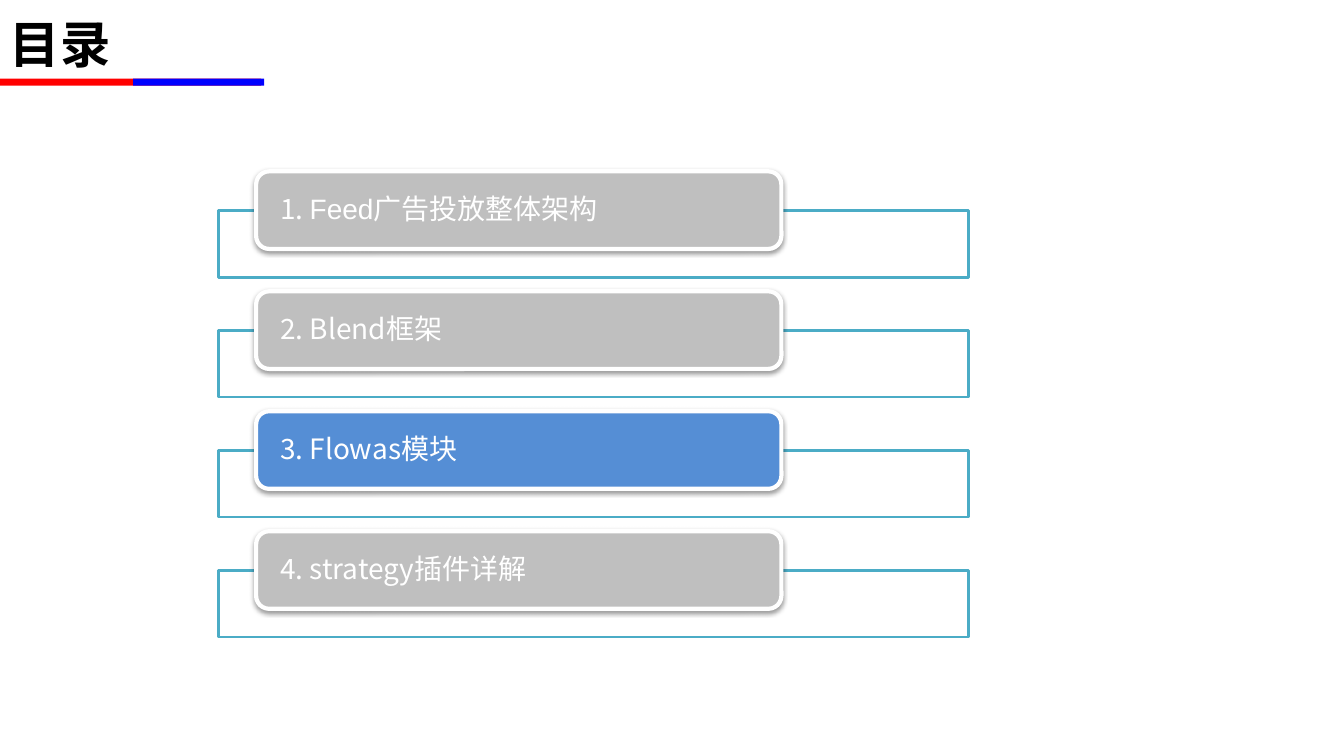
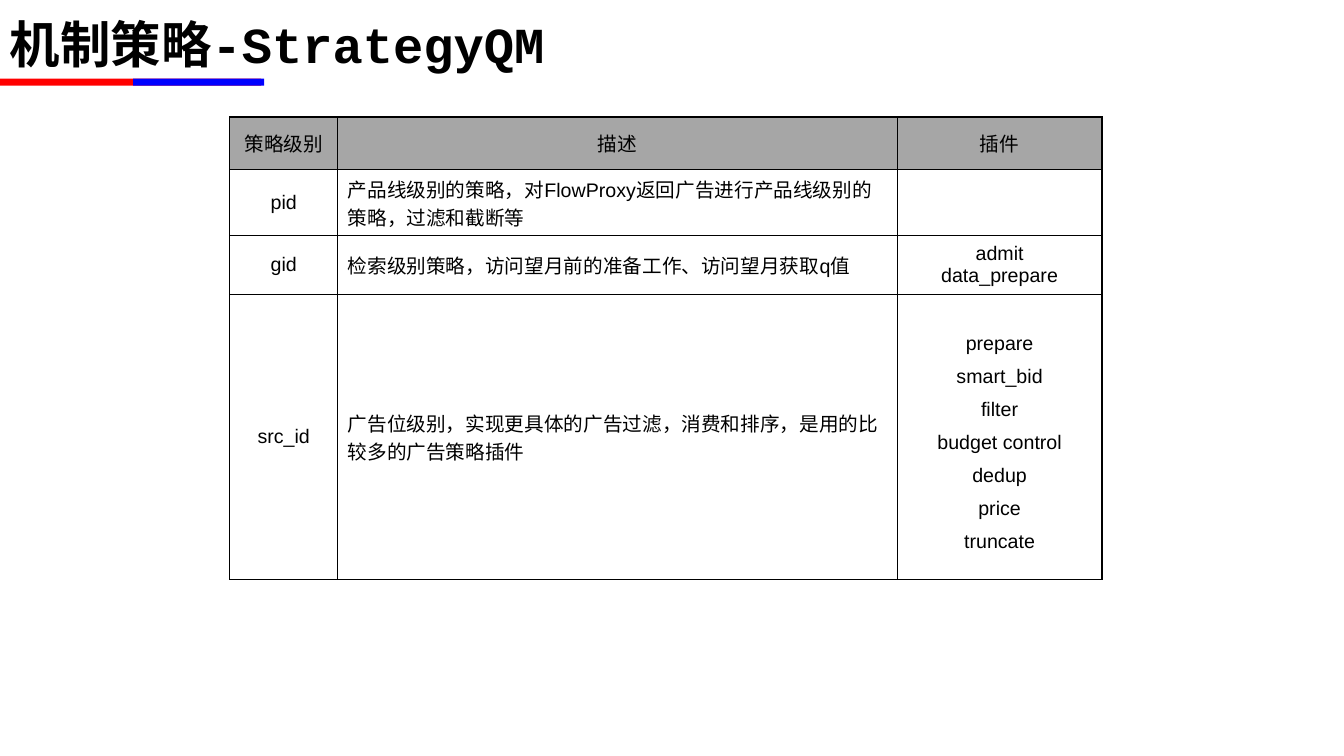
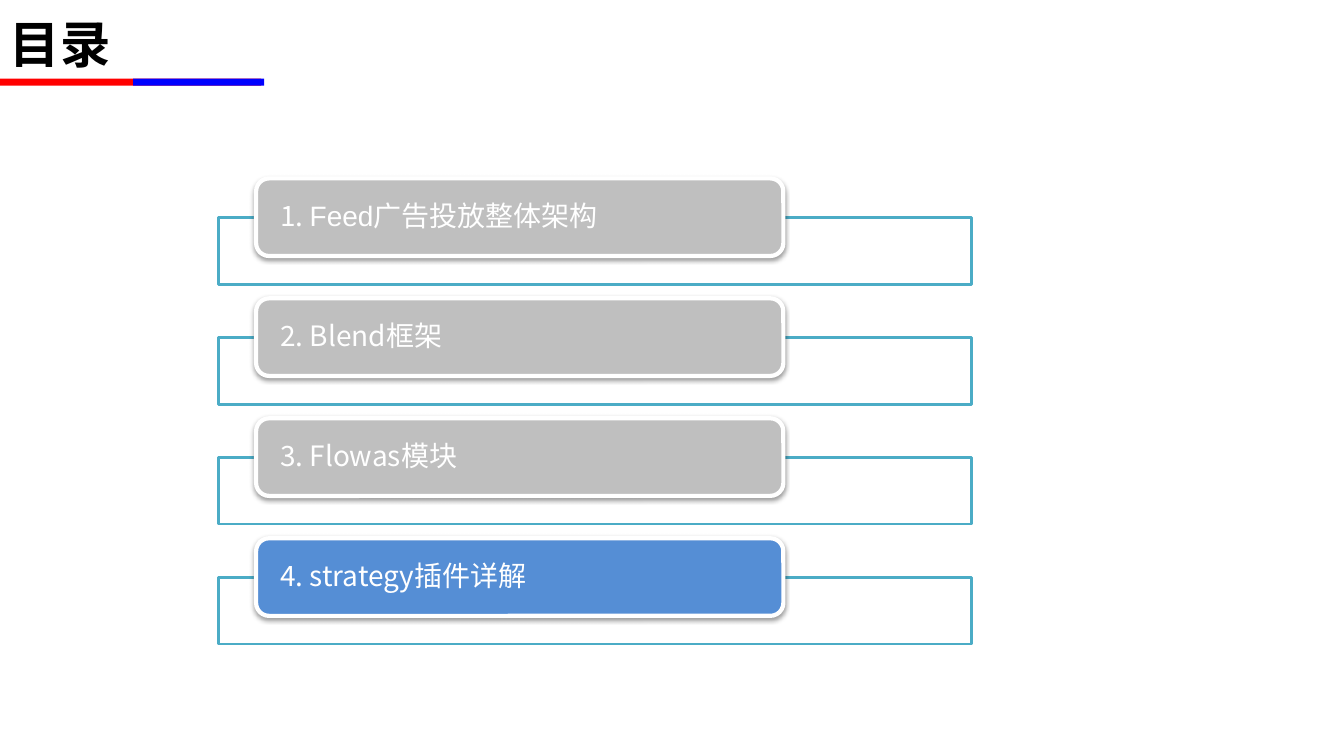
"""Build three slides: two agenda views and a table of strategy levels."""
from lxml import etree
from pptx import Presentation
from pptx.dml.color import RGBColor
from pptx.enum.shapes import MSO_SHAPE
from pptx.enum.text import MSO_ANCHOR, PP_ALIGN
from pptx.oxml import parse_xml
from pptx.oxml.ns import qn
from pptx.util import Pt

PX = 9144
RECT, ROUNDED = MSO_SHAPE.RECTANGLE, MSO_SHAPE.ROUNDED_RECTANGLE
MIDDLE, LEFT, CENTER = MSO_ANCHOR.MIDDLE, PP_ALIGN.LEFT, PP_ALIGN.CENTER

BLACK = RGBColor(0x00, 0x00, 0x00)
WHITE = RGBColor(0xFF, 0xFF, 0xFF)
RED = RGBColor(0xFF, 0x00, 0x00)
BLUE = RGBColor(0x00, 0x00, 0xFF)
TEAL = RGBColor(0x4B, 0xAC, 0xC6)
MUTED = RGBColor(0xBF, 0xBF, 0xBF)
ACTIVE = RGBColor(0x55, 0x8E, 0xD5)
HEADER_GREY = RGBColor(0xA6, 0xA6, 0xA6)

SANS, CJK, MONO = "Arial", "Noto Sans CJK SC", "Courier New"
TITLE_FONT = {"name": MONO, "size": Pt(36), "bold": True}
TABLE_FONT = {"name": SANS, "size": Pt(14), "bold": False}
BUTTON_FRAME = {"vertical_anchor": MIDDLE, "word_wrap": True, "margin_left": 20 * PX,
                "margin_right": 20 * PX, "margin_top": 0, "margin_bottom": 0}

DRAWING_NS = "http://schemas.openxmlformats.org/drawingml/2006/main"
BUTTON_SHADOW = (
    f'<a:effectLst xmlns:a="{DRAWING_NS}">'
    '<a:outerShdw blurRad="40000" dist="20000" dir="5400000" rotWithShape="0">'
    '<a:srgbClr val="000000"><a:alpha val="38000"/></a:srgbClr>'
    '</a:outerShdw></a:effectLst>')
CELL_BORDER = (
    f'<a:{{side}} xmlns:a="{DRAWING_NS}" w="12700">'
    '<a:solidFill><a:srgbClr val="000000"/></a:solidFill></a:{side}>')

AGENDA = [
    [("1. ", CJK), ("Feed广告投放整体架构", SANS)],
    [("2. Blend框架", CJK)],
    [("3. Flowas模块", CJK)],
    [("4. strategy插件详解", CJK)],
]
AGENDA_STEP = 119

SLIDES = [
    {"title": "目录", "active": 2, "top": 170, "panel_width": 744, "button_width": 521},
    {"title": "机制策略-StrategyQM"},
    {"title": "目录", "active": 3, "top": 177, "panel_width": 747, "button_width": 523},
]

COLUMN_WIDTHS = [107, 555, 203]
ROW_HEIGHTS = [52, 66, 58, 283]
STRATEGIES = [
    ["策略级别", "描述", "插件"],
    ["pid", "产品线级别的策略，对FlowProxy返回广告进行产品线级别的策略，过滤和截断等", ""],
    ["gid", "检索级别策略，访问望月前的准备工作、访问望月获取q值", "admit\ndata_prepare"],
    ["src_id", "广告位级别，实现更具体的广告过滤，消费和排序，是用的比较多的广告策略插件",
     "prepare\nsmart_bid\nfilter\nbudget control\ndedup\nprice\ntruncate"],
]


def add_box(slide, preset, bounds, fill, line=None, line_width=0):
    box = slide.shapes.add_shape(preset, *(value * PX for value in bounds))
    box.shadow.inherit = False
    box.fill.solid()
    box.fill.fore_color.rgb = fill
    if line is None:
        box.line.fill.background()
    else:
        box.line.color.rgb = line
        box.line.width = Pt(line_width)
    return box


def add_run(paragraph, text, font_format, color):
    run = paragraph.add_run()
    run.text = text
    for attribute, value in font_format.items():
        setattr(run.font, attribute, value)
    run.font.color.rgb = color
    if font_format["name"] == CJK:
        etree.SubElement(run.font._element, qn("a:ea"), typeface=CJK)


deck = Presentation()
deck.slide_width, deck.slide_height = 1333 * PX, 750 * PX

for content in SLIDES:
    slide = deck.slides.add_slide(deck.slide_layouts[6])
    add_box(slide, RECT, (0, 78, 259, 7), RED)
    add_box(slide, RECT, (132, 78, 130, 7), BLUE)
    title = slide.shapes.add_textbox(0, 0, 1200 * PX, 85 * PX).text_frame
    title.word_wrap = True
    title.vertical_anchor = MIDDLE
    add_run(title.paragraphs[0], content["title"], TITLE_FONT, BLACK)

    if "active" in content:
        for index, label in enumerate(AGENDA):
            top = content["top"] + index * AGENDA_STEP
            add_box(slide, RECT, (217, top + 39, content["panel_width"], 66), WHITE, TEAL, 2)
            button = add_box(slide, ROUNDED, (254, top, content["button_width"], 77),
                             ACTIVE if index == content["active"] else MUTED, WHITE, 3)
            properties = button._element.spPr
            properties.replace(properties.find(qn("a:effectLst")), parse_xml(BUTTON_SHADOW))
            for attribute, value in BUTTON_FRAME.items():
                setattr(button.text_frame, attribute, value)
            paragraph = button.text_frame.paragraphs[0]
            paragraph.alignment = LEFT
            paragraph.line_spacing = 0.9
            for text, font_name in label:
                add_run(paragraph, text, {"name": font_name, "size": Pt(20)}, WHITE)
        continue

    table = slide.shapes.add_table(
        len(ROW_HEIGHTS), len(COLUMN_WIDTHS), 228 * PX, 116 * PX,
        sum(COLUMN_WIDTHS) * PX, sum(ROW_HEIGHTS) * PX).table
    table.horz_banding = False
    for column, width in zip(table.columns, COLUMN_WIDTHS):
        column.width = width * PX
    for row_index, (row, height) in enumerate(zip(table.rows, ROW_HEIGHTS)):
        row.height = height * PX
        for column_index, (cell, text) in enumerate(zip(row.cells, STRATEGIES[row_index])):
            is_header = row_index == 0
            is_plugin_list = row_index == 3 and column_index == 2
            cell.vertical_anchor = MIDDLE
            cell.margin_top = 5 * PX
            for side in ("lnL", "lnR", "lnT", "lnB"):
                cell._tc.get_or_add_tcPr().append(parse_xml(CELL_BORDER.format(side=side)))
            if is_header:
                cell.fill.solid()
                cell.fill.fore_color.rgb = HEADER_GREY
            else:
                cell.fill.background()
            for line_index, line in enumerate(text.split("\n")):
                frame = cell.text_frame
                paragraph = frame.add_paragraph() if line_index else frame.paragraphs[0]
                paragraph.alignment = LEFT if column_index == 1 and not is_header else CENTER
                if is_plugin_list:
                    paragraph.line_spacing = 1.5
                if line:
                    add_run(paragraph, line, TABLE_FONT, BLACK)

deck.save("out.pptx")
